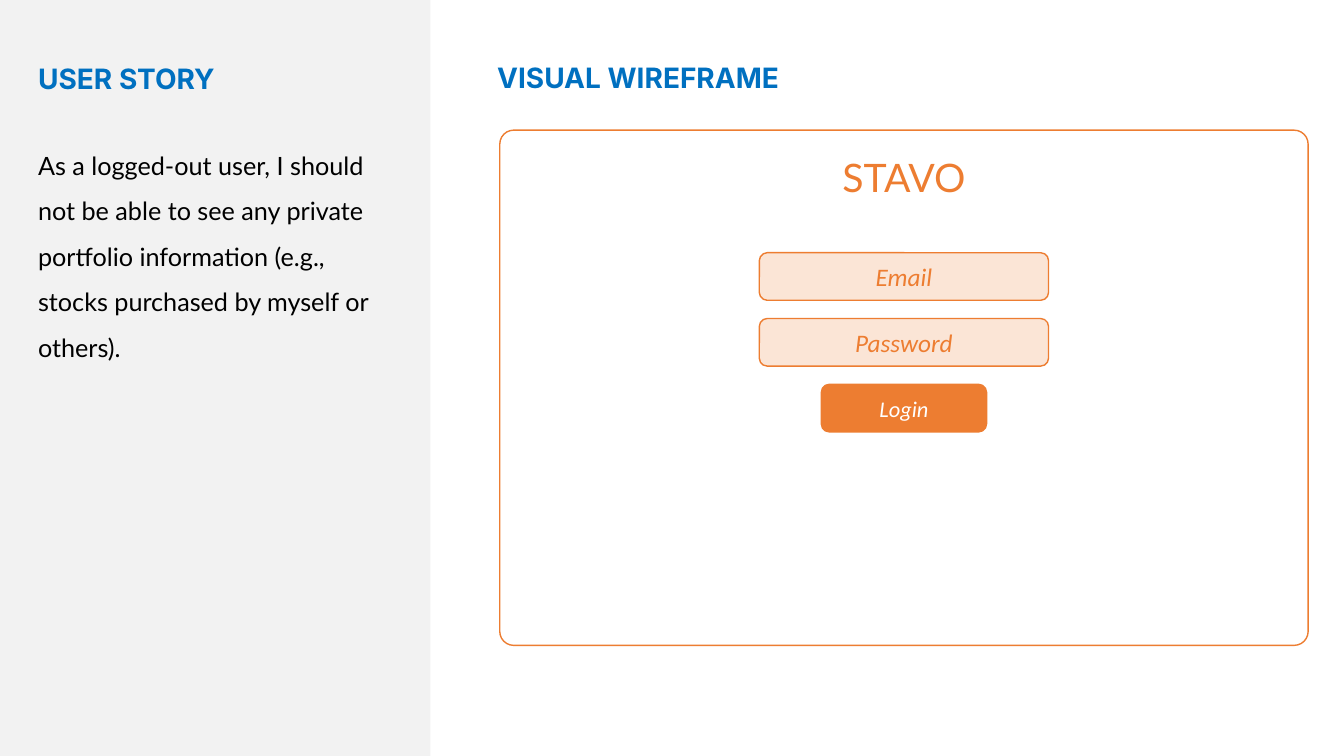
from pptx import Presentation
from pptx.dml.color import RGBColor
from pptx.enum.shapes import MSO_SHAPE
from pptx.enum.text import MSO_ANCHOR, MSO_AUTO_SIZE, PP_ALIGN
from pptx.oxml.ns import qn
from pptx.util import Pt

BLUE = RGBColor(0x00, 0x70, 0xC0)
ORANGE = RGBColor(0xED, 0x7D, 0x31)
PEACH = RGBColor(0xFB, 0xE5, 0xD6)
GREY = RGBColor(0xF2, 0xF2, 0xF2)
BLACK = RGBColor(0, 0, 0)
WHITE = RGBColor(255, 255, 255)

STORY_HEADING = "USER STORY"
WIREFRAME_HEADING = "VISUAL WIREFRAME"
STORY = ("As a logged-out user, I should not be able to see any private portfolio "
         "information (e.g., stocks purchased by myself or others).")
APP_NAME = "STAVO"
CONTROLS = [
    ("Email", 206.6, 18, PEACH, ORANGE),
    ("Password", 206.6, 18, PEACH, ORANGE),
    ("Login", 118, 16, ORANGE, WHITE),
]

SLIDE_W, SLIDE_H = 960, 540
PANEL_W = 307.4
STORY_LEFT, WIREFRAME_LEFT = 20, 348
HEADING_TOP, HEADING_W, HEADING_H = 40, 237, 32
CONTENT_TOP = 93
FRAME_LEFT, FRAME_W, FRAME_H = 357, 577.4, 368
FRAME_CENTRE = FRAME_LEFT + FRAME_W / 2
APP_NAME_TOP, APP_NAME_W, APP_NAME_H = 106, 220, 41
CONTROL_TOP, CONTROL_H, CONTROL_STEP = 180.5, 34, 47


def place(shape, left, top, width, height):
    shape.left, shape.top = Pt(left), Pt(top)
    shape.width, shape.height = Pt(width), Pt(height)


def write(shape, text, font, size, color, bold=False, italic=False,
          align=PP_ALIGN.LEFT, anchor=MSO_ANCHOR.TOP, spacing=1.0):
    frame = shape.text_frame
    frame.word_wrap = True
    frame.auto_size = MSO_AUTO_SIZE.NONE
    frame.vertical_anchor = anchor
    frame.margin_left = frame.margin_right = Pt(7.2)
    frame.margin_top = frame.margin_bottom = Pt(3.6)
    paragraph = frame.paragraphs[0]
    paragraph.alignment = align
    paragraph.line_spacing = spacing
    paragraph.space_before = paragraph.space_after = Pt(0)
    run = paragraph.add_run()
    run.text = text
    run.font.name, run.font.size = font, Pt(size)
    run.font.bold, run.font.italic = bold, italic
    run.font.color.rgb = color


def add_box(kind, left, top, width, height, fill, line=None):
    box = slide.shapes.add_shape(kind, Pt(left), Pt(top), Pt(width), Pt(height))
    box.shadow.inherit = False
    box.fill.solid()
    box.fill.fore_color.rgb = fill
    if line is None:
        box.line.fill.background()
    else:
        box.line.color.rgb = line
        box.line.width = Pt(1)
    return box


prs = Presentation()
prs.slide_width, prs.slide_height = Pt(SLIDE_W), Pt(SLIDE_H)
slide = prs.slides.add_slide(prs.slide_layouts[1])

panel = add_box(MSO_SHAPE.RECTANGLE, 0, 0, PANEL_W, SLIDE_H, GREY)
slide.shapes.title.element.addprevious(panel.element)

wireframe_heading = slide.shapes.add_textbox(0, 0, 0, 0)
for heading, text, left in [(slide.shapes.title, STORY_HEADING, STORY_LEFT),
                            (wireframe_heading, WIREFRAME_HEADING, WIREFRAME_LEFT)]:
    place(heading, left, HEADING_TOP, HEADING_W, HEADING_H)
    write(heading, text, "Inter", 20, BLUE, bold=True)

story = slide.placeholders[1]
place(story, STORY_LEFT, CONTENT_TOP, 250.6, 170)
write(story, STORY, "Lato", 18, BLACK, spacing=1.5)
properties = story.text_frame.paragraphs[0].alignment is not None and \
    story.text_frame.paragraphs[0]._p.get_or_add_pPr()
properties.set("marL", "0")
properties.set("indent", "0")
properties.append(properties.makeelement(qn("a:buNone"), {}))

browser_frame = add_box(MSO_SHAPE.ROUNDED_RECTANGLE, FRAME_LEFT, CONTENT_TOP,
                        FRAME_W, FRAME_H, WHITE, ORANGE)
browser_frame.adjustments[0] = 0.027

app_name = slide.shapes.add_textbox(0, 0, 0, 0)
place(app_name, FRAME_CENTRE - APP_NAME_W / 2, APP_NAME_TOP, APP_NAME_W, APP_NAME_H)
write(app_name, APP_NAME, "Lato", 28, ORANGE, align=PP_ALIGN.CENTER)

for row, (label, width, size, fill, color) in enumerate(CONTROLS):
    control = add_box(MSO_SHAPE.ROUNDED_RECTANGLE, FRAME_CENTRE - width / 2,
                      CONTROL_TOP + row * CONTROL_STEP, width, CONTROL_H, fill, ORANGE)
    write(control, label, "Calibri", size, color, italic=True,
          align=PP_ALIGN.CENTER, anchor=MSO_ANCHOR.MIDDLE)

prs.save("out.pptx")
